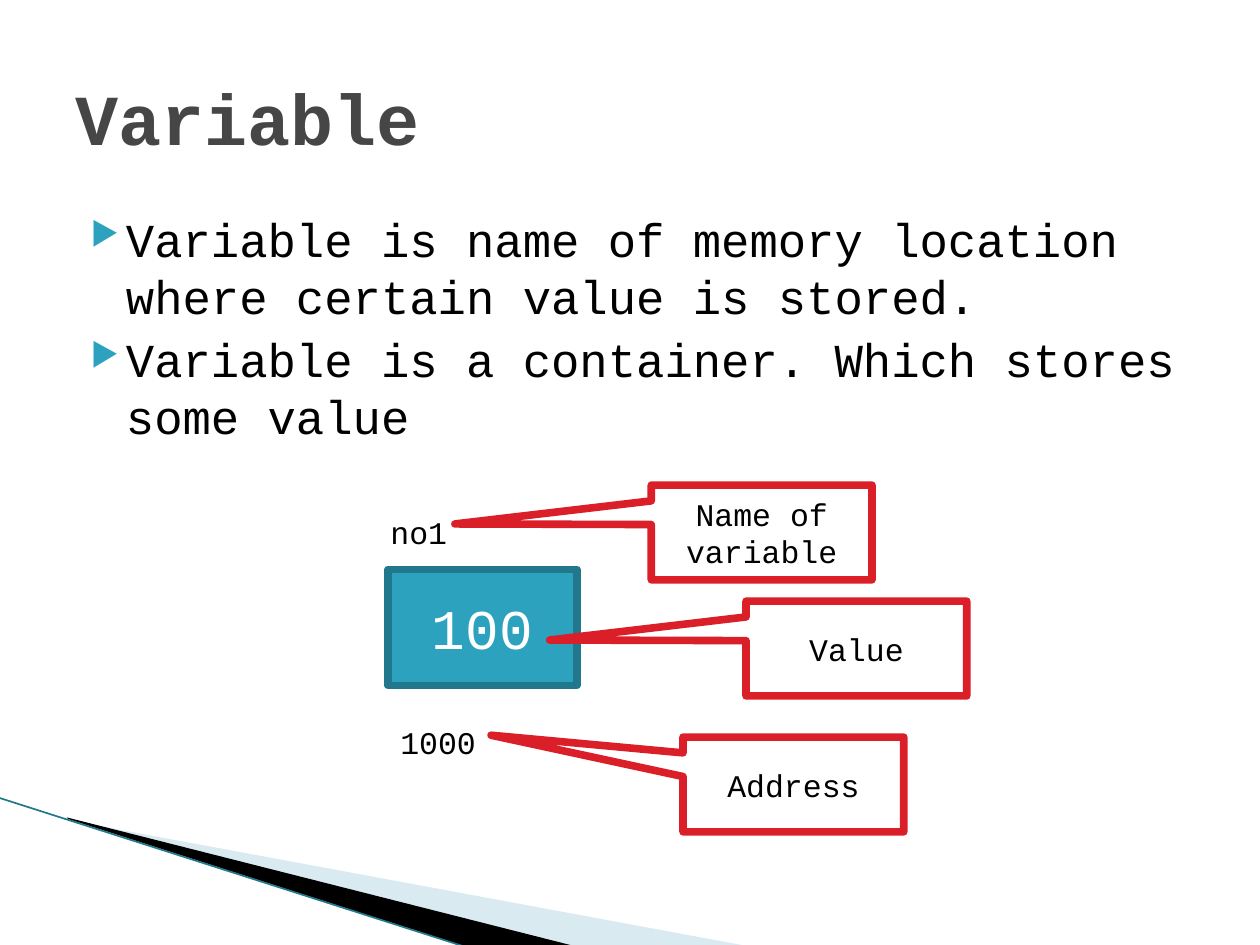
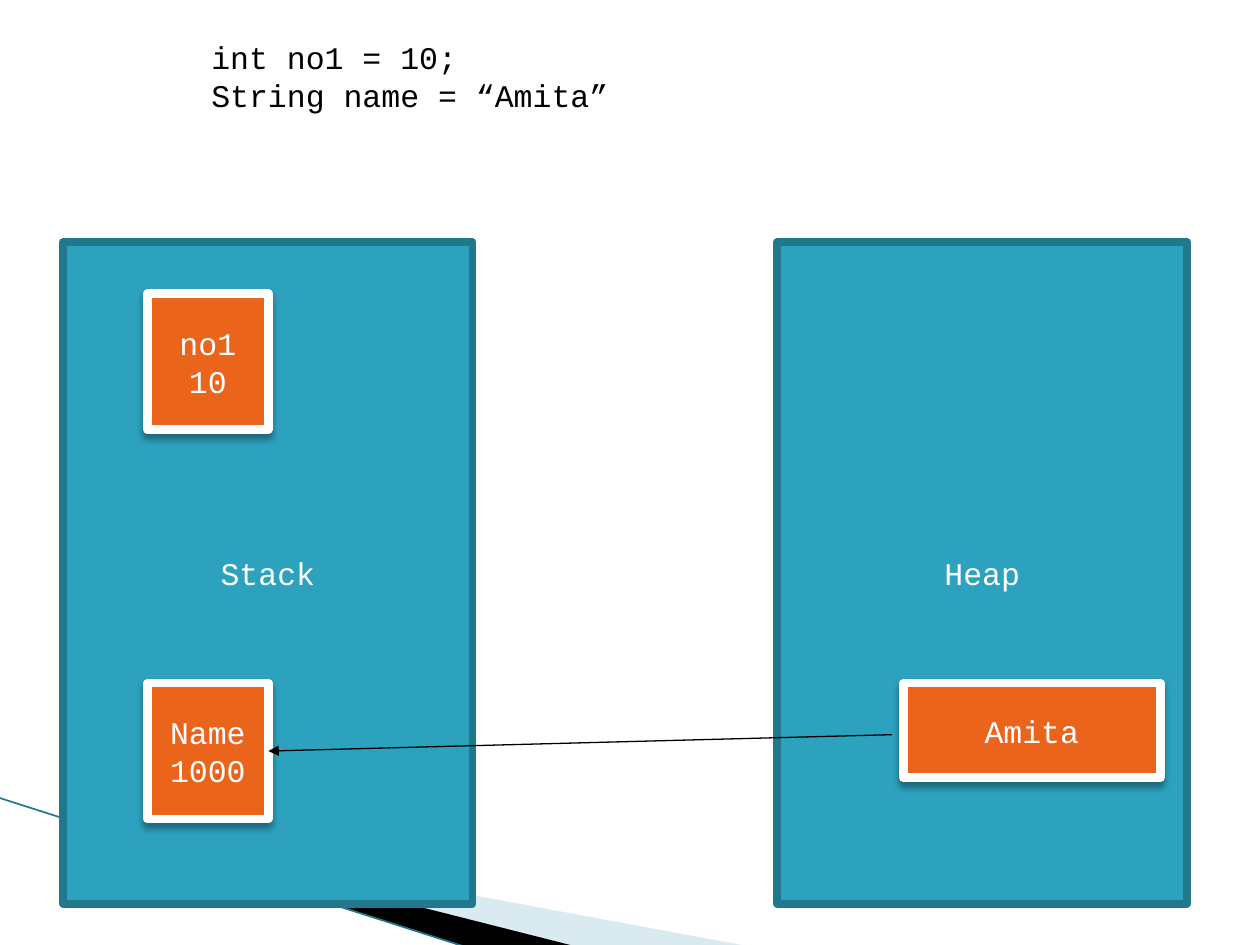
"""Build two slides on variables: name, value and address, then stack and heap."""
from dataclasses import dataclass

from lxml.etree import SubElement
from pptx import Presentation
from pptx.dml.color import RGBColor
from pptx.enum.shapes import MSO_CONNECTOR as Link, MSO_SHAPE as Shape
from pptx.enum.text import MSO_ANCHOR as Anchor, PP_ALIGN as Align
from pptx.oxml.ns import qn
from pptx.util import Cm, Pt


@dataclass(frozen=True)
class Theme:
    font: str = "Courier New"
    text: str = "000000"
    title: str = "464646"
    white: str = "FFFFFF"
    teal: str = "2DA2BF"
    teal_dark: str = "21788D"
    red: str = "DA1F28"
    orange: str = "EB641B"
    pale: str = "A0CBDC"
    title_pt: int = 41
    body_pt: int = 27
    value_pt: int = 32
    label_pt: int = 18
    border_pt: float = 4.33
    cell_border_pt: float = 5
    arrow_pt: float = 0.75
    band_line_pt: float = 0.95


T = Theme()

BANDS = [
    (T.pale, 40, [(1.4, 16.54), (15.11, 19.08), (11.58, 19.08), (1.4, 16.51)]),
    (T.text, 100, [(1.35, 16.48), (11.61, 19.08), (9.45, 19.1), (1.37, 16.51)]),
]
BAND_LINE = (-0.03, 16.08), (9.42, 19.1)

TITLE = "Variable"
TITLE_AT = (1.27, 0.76, 22.86, 3.18)
BULLETS = [
    "Variable is name of memory location where certain value is stored.",
    "Variable is a container. Which stores some value",
]
BULLETS_AT = (1.27, 4.11, 22.86, 12.57)
VALUE, VALUE_AT = "100", (7.82, 11.48, 3.81, 2.34)
LABELS = [("1000", (7.82, 14.45, 2.97, 1.07)), ("no1", (7.62, 10.21, 2.74, 1.07))]
CALLOUT_SIZE = (4.45, 1.91)
CALLOUTS = [
    ("Name of variable", (13.13, 9.78), (-1.39, -0.09)),
    ("Value", (15.04, 12.12), (-1.39, -0.09)),
    ("Address", (13.77, 14.86), (-1.37, -0.52)),
]

CODE = ["int no1 = 10;", "String name = “Amita”"]
CODE_AT = (4.01, 0.64, 19.35, 2.54)
REGION_TOP, REGION_SIZE = 4.88, (8.26, 13.34)
REGIONS = [("Stack", 1.27), ("Heap", 15.67)]
CELLS = {
    "no1": (["no1", "10"], (2.97, 5.92, 2.44, 2.74)),
    "name": (["Name", "1000"], (2.97, 13.77, 2.44, 2.74)),
    "object": (["Amita"], (18.21, 13.77, 5.18, 1.91)),
}
ARROW_START = (17.98, 14.81)


def rgb(color):
    return RGBColor.from_string(color)


def cm(values):
    return [Cm(v) for v in values]


def add_xml(parent, tag, **attrs):
    return SubElement(parent, qn(tag), {k: str(v) for k, v in attrs.items()})


def write(tf, lines, size, color, align=Align.LEFT, anchor=Anchor.TOP, bold=False, bullet=False):
    tf.word_wrap = True
    tf.vertical_anchor = anchor
    for i, line in enumerate(lines):
        p = tf.paragraphs[0] if i == 0 else tf.add_paragraph()
        p.add_run().text = line
        p.alignment = align
        if bullet:
            add_bullet(p)
        p.font.name, p.font.size, p.font.bold = T.font, Pt(size), bold
        p.font.color.rgb = rgb(color)


def add_bullet(p):
    p.space_before = Pt(4)
    pPr = p._p.get_or_add_pPr()
    pPr.set("marL", str(Cm(1.02)))
    pPr.set("indent", str(Cm(-0.71)))
    add_xml(add_xml(pPr, "a:buClr"), "a:srgbClr", val=T.teal)
    add_xml(pPr, "a:buSzPct", val=68000)
    add_xml(pPr, "a:buChar", char="▶")


def add_text(s, lines, at, size=T.label_pt, color=T.text, **style):
    write(s.shapes.add_textbox(*cm(at)).text_frame, lines, size, color, **style)


def add_box(s, lines, at, fill, line, kind=Shape.RECTANGLE, size=T.label_pt,
            color=T.white, border=T.border_pt):
    sp = s.shapes.add_shape(kind, *cm(at))
    sp.shadow.inherit = False
    sp.fill.solid()
    sp.fill.fore_color.rgb = rgb(fill)
    sp.line.color.rgb = rgb(line)
    sp.line.width = Pt(border)
    write(sp.text_frame, lines, size, color, Align.CENTER, Anchor.MIDDLE)
    return sp


def add_cell(s, lines, at):
    sp = add_box(s, lines, at, T.orange, T.white, border=T.cell_border_pt)
    effects = sp._element.spPr.find(qn("a:effectLst"))
    shadow = add_xml(effects, "a:outerShdw", blurRad=Pt(4), dist=Pt(3), dir=5400000, rotWithShape=0)
    add_xml(add_xml(shadow, "a:srgbClr", val=T.text), "a:alpha", val=35000)
    return sp


def add_line(s, start, end, color, width):
    c = s.shapes.add_connector(Link.STRAIGHT, *cm(start + end))
    c.line.color.rgb = rgb(color)
    c.line.width = Pt(width)
    add_xml(c._element.spPr, "a:effectLst")
    return c


def new_slide(prs):
    s = prs.slides.add_slide(prs.slide_layouts[6])
    for color, opacity, points in BANDS:
        start, *rest = [tuple(cm(point)) for point in points]
        builder = s.shapes.build_freeform(*start)
        builder.add_line_segments(rest)
        sp = builder.convert_to_shape()
        sp.shadow.inherit = False
        sp.line.fill.background()
        sp.fill.solid()
        sp.fill.fore_color.rgb = rgb(color)
        solid = sp._element.spPr.find(qn("a:solidFill"))
        add_xml(solid[0], "a:alpha", val=opacity * 1000)
    add_line(s, *BAND_LINE, T.teal_dark, T.band_line_pt)
    return s


def variable_slide(prs):
    s = new_slide(prs)
    add_text(s, BULLETS, BULLETS_AT, T.body_pt, bullet=True)
    add_text(s, [TITLE], TITLE_AT, T.title_pt, T.title, anchor=Anchor.MIDDLE, bold=True)
    add_box(s, [VALUE], VALUE_AT, T.teal, T.teal_dark, size=T.value_pt)
    for text, at in LABELS:
        add_text(s, [text], at)
    for text, corner, tip in CALLOUTS:
        sp = add_box(s, [text], corner + CALLOUT_SIZE, T.white, T.red,
                     Shape.RECTANGULAR_CALLOUT, color=T.text)
        sp.adjustments[0], sp.adjustments[1] = tip


def memory_slide(prs):
    s = new_slide(prs)
    for text, left in REGIONS:
        add_box(s, [text], (left, REGION_TOP) + REGION_SIZE, T.teal, T.teal_dark)
    add_text(s, CODE, CODE_AT)
    cells = {key: add_cell(s, lines, at) for key, (lines, at) in CELLS.items()}
    arrow = add_line(s, ARROW_START, ARROW_START, T.text, T.arrow_pt)
    arrow.end_connect(cells["name"], 3)
    add_xml(arrow.line._get_or_add_ln(), "a:tailEnd", type="triangle")


def main():
    prs = Presentation()
    prs.slide_width, prs.slide_height = Cm(25.4), Cm(19.05)
    variable_slide(prs)
    memory_slide(prs)
    prs.save("out.pptx")


if __name__ == "__main__":
    main()
